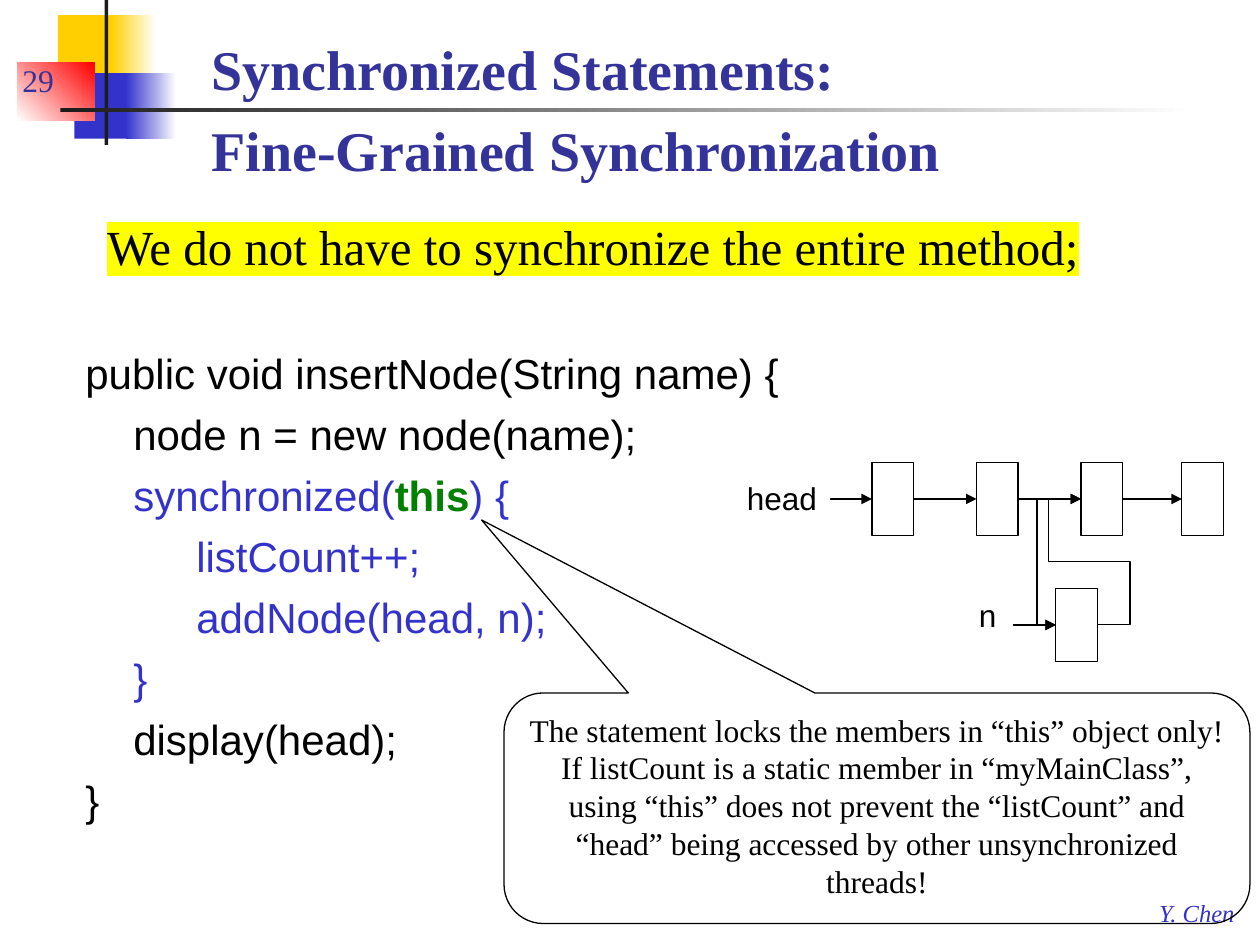
"""Build the slide on fine-grained synchronization."""
from lxml import etree
from pptx import Presentation
from pptx import util as u
from pptx.dml.color import RGBColor
from pptx.enum import shapes, text
from pptx.oxml import ns

BLACK = RGBColor(0, 0, 0)
WHITE = RGBColor(255, 255, 255)
YELLOW = RGBColor(0xFF, 0xCF, 0x01)
BLUE = RGBColor(0x33, 0x33, 0xCC)
NAVY = RGBColor(0x33, 0x33, 0x99)
RED = RGBColor(255, 0, 0)
GREEN = RGBColor(0, 0x80, 0)
DARK = RGBColor(0x1C, 0x1C, 0x1C)
HIGHLIGHT = RGBColor(255, 255, 0)
SERIF, SANS = "Times New Roman", "Arial"


def inches(*values):
    return [u.Inches(v) for v in values]


def sub(parent, tag, **attrs):
    return etree.SubElement(parent, ns.qn(tag), attrs)


def add_run(p, content, size=18, font=SERIF, color=BLACK, bold=False, italic=False, highlight=None):
    r = p.add_run()
    r.text = content
    f = r.font
    f.size, f.bold, f.italic, f.name = u.Pt(size), bold, italic, font
    f.color.rgb = color
    if highlight is not None:
        mark = etree.Element(ns.qn("a:highlight"))
        sub(mark, "a:srgbClr", val=str(highlight))
        r._r.rPr.find(ns.qn("a:solidFill")).addnext(mark)


def write(sp, paragraphs, align=text.PP_ALIGN.LEFT, anchor=text.MSO_ANCHOR.TOP, wrap=True,
          before=None, spacing=None, hanging=False, **fmt):
    tf = sp.text_frame
    tf.word_wrap, tf.vertical_anchor = wrap, anchor
    tf.auto_size = text.MSO_AUTO_SIZE.NONE
    for i, runs in enumerate(paragraphs):
        p = tf.paragraphs[0] if i == 0 else tf.add_paragraph()
        p.alignment = align
        if before is not None:
            p.space_before = u.Pt(before)
        if spacing:
            p.line_spacing = spacing
        if hanging:
            pPr = p._p.get_or_add_pPr()
            pPr.set("marL", str(u.Inches(0.38)))
            pPr.set("indent", str(u.Inches(-0.38)))
            sub(pPr, "a:buNone")
        for content, own in [(runs, {})] if isinstance(runs, str) else runs:
            for j, line in enumerate(content.split("\n")):
                if j:
                    p.add_line_break()
                add_run(p, line, **{**fmt, **own})


class Slide:
    """Holds the line style and the slide being drawn."""

    def __init__(self, s, line_color=BLACK, line_width=0.75):
        self.s, self.line_color, self.line_width = s, line_color, u.Pt(line_width)

    def outline(self, line):
        line.color.rgb, line.width = self.line_color, self.line_width

    def shape(self, at, fill=None, fade=None, angle=0, line=False, kind=shapes.MSO_SHAPE.RECTANGLE):
        sp = self.s.shapes.add_shape(kind, *inches(*at))
        sp.shadow.inherit = False
        if fade is not None:
            sp.fill.gradient()
            sp.fill.gradient_angle = angle
            for stop, color, pos in zip(sp.fill.gradient_stops, (fill, fade), (0, 1)):
                stop.color.rgb, stop.position = color, pos
        elif fill is not None:
            sp.fill.solid()
            sp.fill.fore_color.rgb = fill
        else:
            sp.fill.background()
        if line:
            self.outline(sp.line)
        else:
            sp.line.fill.background()
        return sp

    def node(self, left, top):
        self.shape((left, top, 0.33, 0.58), WHITE, line=True)

    def label(self, at, content):
        write(self.shape(at, WHITE), [content], wrap=False, font=SANS)

    def textbox(self, at, paragraphs, **fmt):
        write(self.s.shapes.add_textbox(*inches(*at)), paragraphs, **fmt)

    def placeholder(self, idx, at, paragraphs, **fmt):
        sp = self.s.placeholders[idx]
        sp.left, sp.top, sp.width, sp.height = inches(*at)
        self.s.shapes._spTree.append(sp._element)
        write(sp, paragraphs, **fmt)

    def arrow(self, start, end, kind=shapes.MSO_CONNECTOR.STRAIGHT, preset=None, adjust=()):
        c = self.s.shapes.add_connector(kind, *inches(*start, *end))
        self.outline(c.line)
        spPr = c._element.spPr
        sub(spPr.find(ns.qn("a:ln")), "a:tailEnd", type="triangle")
        sub(spPr, "a:effectLst")
        if preset:
            geom = spPr.find(ns.qn("a:prstGeom"))
            geom.set("prst", preset)
            guides = geom.find(ns.qn("a:avLst"))
            if guides is None:
                guides = sub(geom, "a:avLst")
            for i, value in enumerate(adjust, 1):
                sub(guides, "a:gd", name=f"adj{i}", fmla=f"val {value}")

    def callout(self, at, adjust, paragraphs, **fmt):
        sp = self.shape(at, line=True, kind=shapes.MSO_SHAPE.ROUNDED_RECTANGULAR_CALLOUT)
        for i, value in enumerate(adjust):
            sp.adjustments[i] = value
        write(sp, paragraphs, **fmt)


def draw_frame(slide):
    slide.shape((0.46, 0.12, 0.48, 0.52), YELLOW)
    slide.shape((0.88, 0.12, 0.36, 0.52), YELLOW, WHITE)
    slide.shape((0.59, 0.58, 0.46, 0.52), BLUE)
    slide.shape((1, 0.58, 0.4, 0.52), BLUE, WHITE)
    slide.shape((0.14, 0.5, 0.61, 0.46), WHITE, RED, angle=45)
    slide.shape((0.83, 0, 0.03, 1.15), DARK)
    slide.shape((0.48, 0.86, 9, 0.03), DARK, WHITE)
    slide.textbox((9.1, 7.08, 0.82, 0.33), ["Y. Chen"], wrap=False, size=14, color=BLUE, italic=True)
    slide.textbox((0.08, 0.33, 2.08, 0.5), ["29"], anchor=text.MSO_ANCHOR.BOTTOM, color=NAVY)


def draw_text(slide):
    slide.placeholder(0, (1.58, 0, 8.33, 1.5), ["Synchronized Statements:\nFine-Grained Synchronization"],
                      anchor=text.MSO_ANCHOR.BOTTOM, spacing=1.2, size=32, color=NAVY, bold=True)
    slide.placeholder(1, (0.75, 1.67, 9.04, 0.67), ["We do not have to synchronize the entire method;"],
                      before=6, hanging=True, size=28, highlight=HIGHLIGHT)
    blue = {"color": BLUE}
    code = [
        "public void insertNode(String name) {",
        "\tnode n = new node(name);",
        [("\tsynchronized(", blue), ("this", {"color": GREEN, "bold": True}), (") {", blue)],
        [("\t\tlistCount++;", blue)],
        [("\t\taddNode(head, n);", blue)],
        [("\t}", blue)],
        "\tdisplay(head);",
        "}",
    ]
    slide.textbox((0.58, 2.71, 6.5, 4.37), code, before=6, hanging=True, size=24, font=SANS)


def draw_linked_list(slide):
    lefts = (6.92, 7.75, 8.58, 9.38)
    for left in lefts:
        slide.node(left, 3.67)
    for start, end in zip((6.25, *lefts), lefts):
        slide.arrow((start + 0.33, 3.96), (end, 3.96))
    slide.label((5.83, 3.75, 0.76, 0.4), "head")
    slide.node(8.38, 4.67)
    slide.arrow((8.04, 4.96), (8.38, 4.96))
    slide.label((7.67, 4.68, 0.34, 0.4), "n")
    elbow = shapes.MSO_CONNECTOR.ELBOW
    slide.arrow((8.08, 3.96), (8.38, 4.96), elbow)
    slide.arrow((8.71, 4.96), (8.58, 3.96), elbow, "bentConnector5", (-200000, 50000, 300000))


def main():
    prs = Presentation()
    prs.slide_width, prs.slide_height = inches(10, 7.5)
    slide = Slide(prs.slides.add_slide(prs.slide_layouts[1]))
    draw_frame(slide)
    draw_text(slide)
    draw_linked_list(slide)
    slide.callout((4, 5.5, 5.92, 1.83), (-0.53, -1.25, 0.17), [
        "The statement locks the members in “this” object only!",
        "If listCount is a static member in “myMainClass”, using “this” does not prevent "
        "the “listCount” and “head” being accessed by other unsynchronized threads!",
    ], align=text.PP_ALIGN.CENTER)
    prs.save("out.pptx")


if __name__ == "__main__":
    main()
